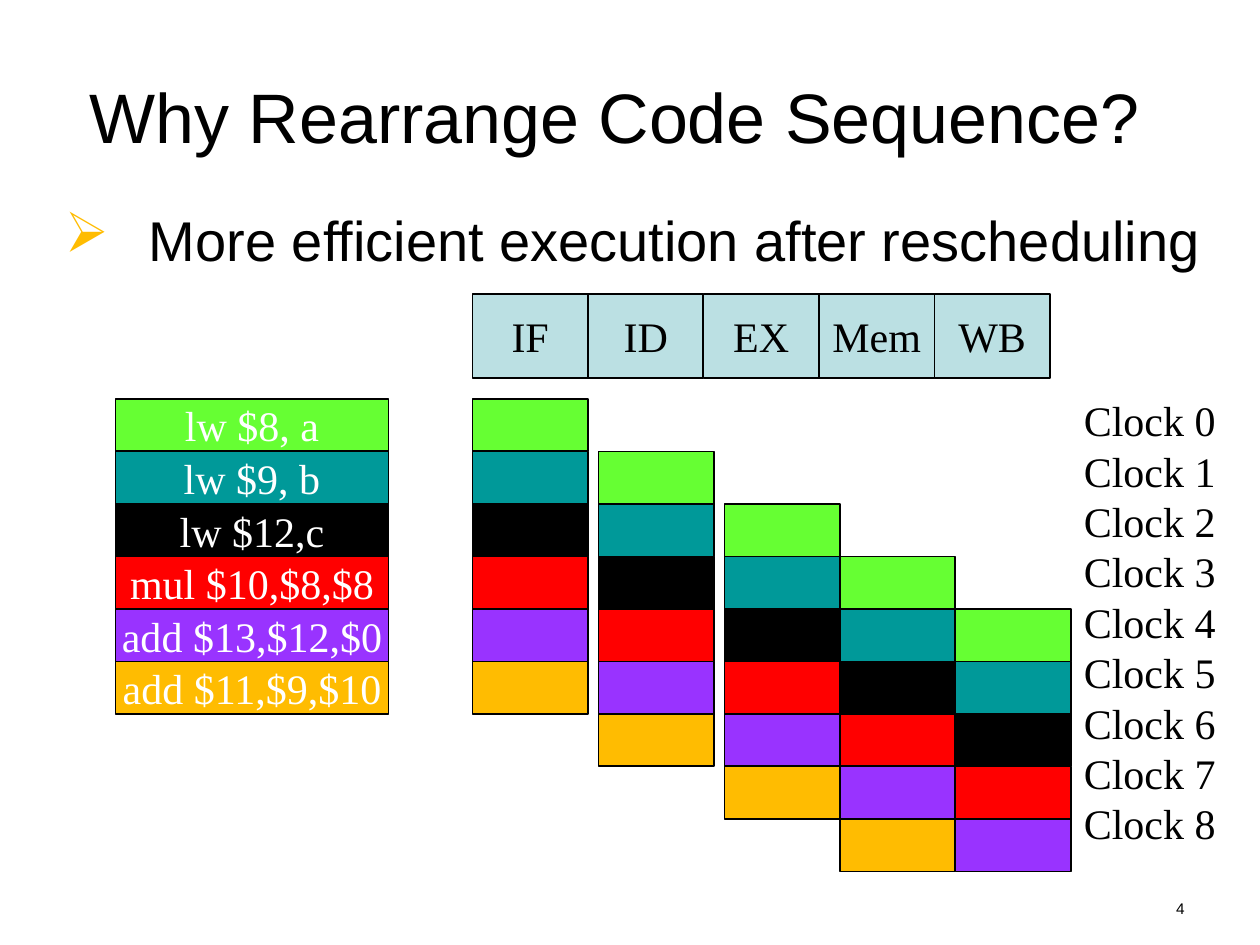
from lxml import etree
from pptx import Presentation
from pptx.dml.color import RGBColor
from pptx.enum import shapes, text
from pptx.oxml import ns
from pptx.util import Pt

COLORS = {
    "ink": "000000", "paper": "FFFFFF", "stage": "BBE0E3", "bullet": "FFBC01",
    "green": "66FF33", "teal": "009999", "black": "000000",
    "red": "FF0000", "purple": "9933FF", "amber": "FFBC01",
}
STAGES = ["IF", "ID", "EX", "Mem", "WB"]
INSTRUCTIONS = [
    ("lw $8, a", "green"), ("lw $9, b", "teal"), ("lw $12,c", "black"),
    ("mul $10,$8,$8", "red"), ("add $13,$12,$0", "purple"),
    ("add $11,$9,$10", "amber"),
]
CLOCKS = 9
STAGE_W, ROW_H = 66, 30
STAGE_OFFSETS = [0, 72, 144, 210, 276]
ALIGN, ANCHOR = text.PP_ALIGN, text.MSO_ANCHOR
SANS = {"name": "Arial"}
SERIF = {"name": "Times New Roman", "size": Pt(24)}


def rgb(name):
    return RGBColor.from_string(COLORS[name])


def write(frame, lines, font, color="ink", align=ALIGN.CENTER, **frame_format):
    for name, value in frame_format.items():
        setattr(frame, name, value)
    for number, line in enumerate(lines):
        paragraph = frame.paragraphs[0] if number == 0 else frame.add_paragraph()
        paragraph.alignment = align
        run = paragraph.add_run()
        run.text = line
        for name, value in font.items():
            setattr(run.font, name, value)
        run.font.color.rgb = rgb(color)


def add_text(slide, box, lines, font, **options):
    frame = slide.shapes.add_textbox(*map(Pt, box)).text_frame
    write(frame, lines, font, word_wrap=True, **options)
    return frame


def add_block(slide, box, fill, label=None, color="ink"):
    block = slide.shapes.add_shape(shapes.MSO_SHAPE.RECTANGLE, *map(Pt, box))
    block.shadow.inherit = False
    block.fill.solid()
    block.fill.fore_color.rgb = rgb(fill)
    block.line.color.rgb = rgb("ink")
    block.line.width = Pt(1)
    if label:
        write(block.text_frame, [label], SERIF, color, word_wrap=False,
              vertical_anchor=ANCHOR.MIDDLE)


def add_bullet_point(slide, box, line):
    frame = add_text(slide, box, [line], {**SANS, "size": Pt(32)},
                     align=ALIGN.LEFT)
    properties = frame.paragraphs[0]._p.get_or_add_pPr()
    properties.set("marL", str(Pt(48)))
    properties.set("indent", str(Pt(-48)))
    bullet_color = etree.SubElement(properties, ns.qn("a:buClr"))
    etree.SubElement(bullet_color, ns.qn("a:srgbClr"), val=COLORS["bullet"])
    etree.SubElement(properties, ns.qn("a:buChar"), char="➢")


def add_stage_header(slide, box):
    left, top, width, height = box
    stage_width = width / len(STAGES)
    for number, stage in enumerate(STAGES):
        add_block(slide, (left + number * stage_width, top, stage_width, height),
                  "stage", stage)


def add_code_listing(slide, box):
    left, top, width, height = box
    row_height = height / len(INSTRUCTIONS)
    for row, (code, color) in enumerate(INSTRUCTIONS):
        add_block(slide, (left, top + row * row_height, width, row_height),
                  color, code, "paper")


def add_pipeline(slide, left, top):
    """Each instruction moves one stage to the right per clock."""
    for start, (_, color) in enumerate(INSTRUCTIONS):
        for clock, offset in enumerate(STAGE_OFFSETS, start):
            if clock < CLOCKS:
                add_block(slide, (left + offset, top + clock * ROW_H,
                                  STAGE_W, ROW_H), color)


def main():
    deck = Presentation()
    deck.slide_width, deck.slide_height = Pt(720), Pt(540)
    slide = deck.slides.add_slide(deck.slide_layouts[6])
    add_text(slide, (516, 510, 168, 19), ["4"], {**SANS, "size": Pt(8.8)},
             align=ALIGN.RIGHT)
    add_text(slide, (36, 18, 630, 96), ["Why Rearrange Code Sequence?"],
             {**SANS, "size": Pt(40)}, vertical_anchor=ANCHOR.MIDDLE)
    add_bullet_point(slide, (30, 114, 666, 390),
                     "More efficient execution after rescheduling")
    add_stage_header(slide, (270, 168, STAGE_W * len(STAGES), 48))
    add_code_listing(slide, (66, 228, 156, ROW_H * len(INSTRUCTIONS)))
    add_pipeline(slide, 270, 228)
    add_text(slide, (612, 222, 90, 266.4),
             [f"Clock {clock}" for clock in range(CLOCKS)], SERIF)
    deck.save("out.pptx")


if __name__ == "__main__":
    main()
